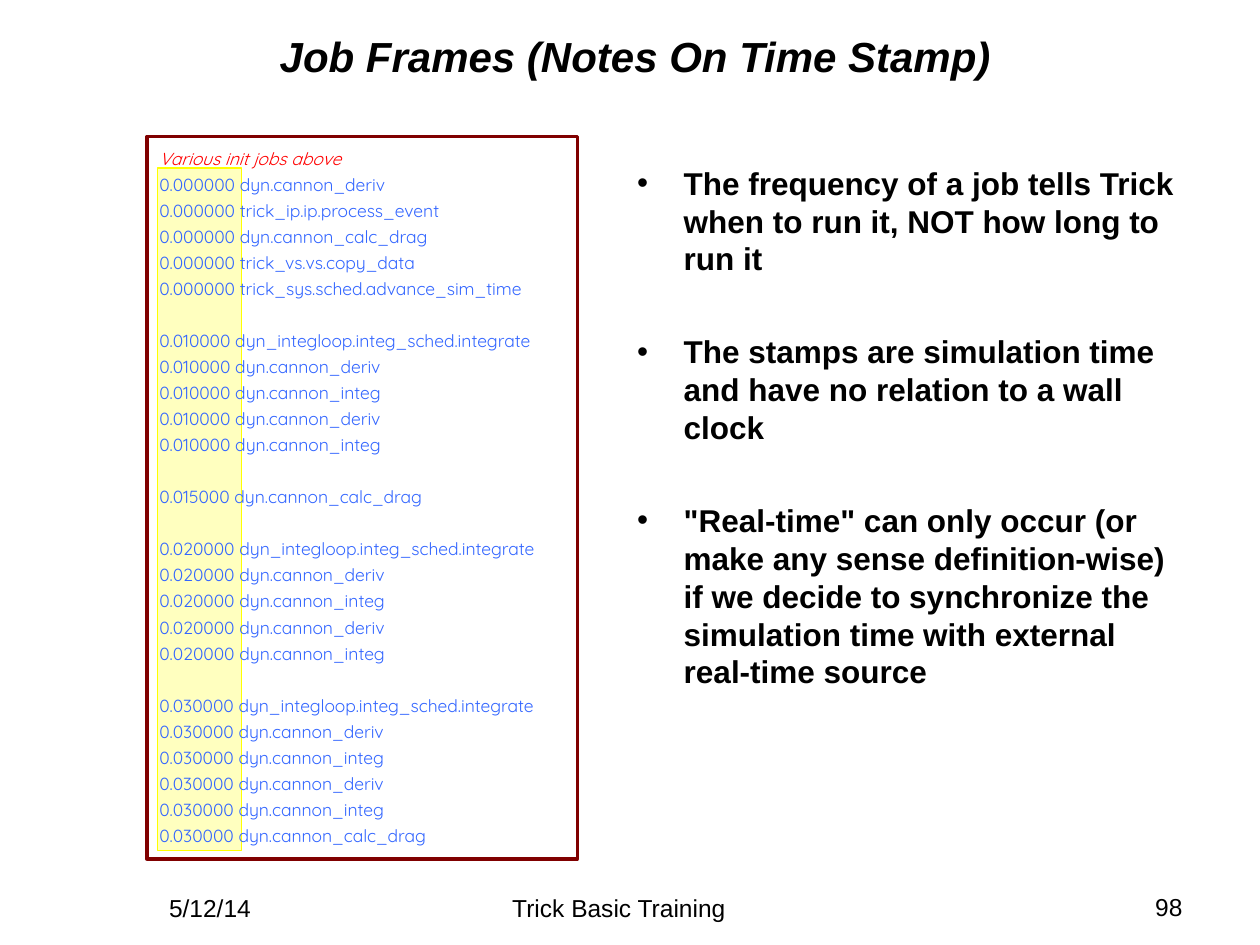
from lxml import etree
from pptx import Presentation
from pptx.dml.color import RGBColor
from pptx.enum import shapes, text
from pptx.oxml.ns import qn
from pptx import util as u

BLACK = RGBColor(0x00, 0x00, 0x00)
RED = RGBColor(0xFF, 0x00, 0x00)
BLUE = RGBColor(0x33, 0x66, 0xFF)
MAROON = RGBColor(0x80, 0x00, 0x00)
YELLOW = RGBColor(0xFF, 0xFF, 0x00)

# The grid has 120 columns and 90 rows, so one cell is 1/12 inch
COLUMNS, ROWS = 120, 90
LOG_SPACING = 1.24
LOG_GAP = 14.88
BULLET_GAP = 31.6

INTEGRATION = ["dyn_integloop.integ_sched.integrate"] + ["dyn.cannon_deriv", "dyn.cannon_integ"] * 2
JOB_FRAMES = [
    ("0.000000", ["dyn.cannon_deriv", "trick_ip.ip.process_event", "dyn.cannon_calc_drag",
                  "trick_vs.vs.copy_data", "trick_sys.sched.advance_sim_time"]),
    ("0.010000", INTEGRATION),
    ("0.015000", ["dyn.cannon_calc_drag"]),
    ("0.020000", INTEGRATION),
    ("0.030000", INTEGRATION + ["dyn.cannon_calc_drag"]),
]
NOTES = [
    "The frequency of a job tells Trick when to run it, NOT how long to run it",
    "The stamps are simulation time and have no relation to a wall clock",
    '"Real-time" can only occur (or make any sense definition-wise) if we decide to '
    "synchronize the simulation time with external real-time source",
]
FOOTERS = [
    ("5/12/14", (6, 84.5, 28, 4), text.PP_ALIGN.CENTER),
    ("98", (85.8, 84.4, 28, 4.7), text.PP_ALIGN.RIGHT),
    ("Trick Basic Training", (40, 84.5, 37.9, 4.7), text.PP_ALIGN.CENTER),
]


class SlideBuilder:
    def __init__(self, deck):
        self.deck = deck
        self.page = deck.slides.add_slide(deck.slide_layouts[5])

    def area(self, left, top, width, height):
        across, down = self.deck.slide_width / COLUMNS, self.deck.slide_height / ROWS
        return [u.Emu(round(n)) for n in (left * across, top * down, width * across, height * down)]

    def style(self, para, size, color=BLACK, font="Arial", bold=False, italic=False):
        para.font.name, para.font.size = font, u.Pt(size)
        para.font.bold, para.font.italic = bold, italic
        para.font.color.rgb = color

    def title(self, words, place):
        box = self.page.shapes.title
        box.left, box.top, box.width, box.height = self.area(*place)
        frame = box.text_frame
        frame.text = words
        frame.auto_size = text.MSO_AUTO_SIZE.NONE
        frame.vertical_anchor = text.MSO_ANCHOR.MIDDLE
        para = frame.paragraphs[0]
        para.alignment, para.line_spacing = text.PP_ALIGN.CENTER, LOG_SPACING
        self.style(para, 24, bold=True, italic=True)

    def shape(self, kind, place, line, width):
        shape = self.page.shapes.add_shape(kind, *self.area(*place))
        shape.shadow.inherit = False
        shape.line.color.rgb, shape.line.width = line, u.Pt(width)
        return shape

    def highlight(self, place):
        band = self.shape(shapes.MSO_SHAPE.ROUNDED_RECTANGLE, place, YELLOW, 1)
        band.adjustments[0] = 0
        band.fill.solid()
        band.fill.fore_color.rgb = YELLOW
        color = band.fill._xPr.find(qn("a:solidFill"))[0]
        etree.SubElement(color, qn("a:alpha"), val="25000")

    def log(self, heading, frames, place):
        panel = self.shape(shapes.MSO_SHAPE.RECTANGLE, place, MAROON, 2)
        panel.fill.background()
        frame = panel.text_frame
        frame.word_wrap, frame.vertical_anchor = True, text.MSO_ANCHOR.TOP
        lines = [(heading, RED, 0)]
        for number, (stamp, jobs) in enumerate(frames):
            for position, job in enumerate(jobs):
                gap = LOG_GAP if number and not position else 0
                lines.append((f"{stamp} {job}", BLUE, gap))
        for number, (words, color, gap) in enumerate(lines):
            para = frame.add_paragraph() if number else frame.paragraphs[0]
            para.text, para.alignment = words, text.PP_ALIGN.LEFT
            para.line_spacing, para.space_before = LOG_SPACING, u.Pt(gap)
            self.style(para, 10, color, "Quicksand", italic=color == RED)

    def text_box(self, place):
        frame = self.page.shapes.add_textbox(*self.area(*place)).text_frame
        frame.word_wrap = True
        return frame

    def bullets(self, notes, place):
        frame = self.text_box(place)
        for number, words in enumerate(notes):
            para = frame.add_paragraph() if number else frame.paragraphs[0]
            para.text = words
            para.space_before = u.Pt(BULLET_GAP if number else 0)
            props = para._p.get_or_add_pPr()
            props.set("marL", str(u.Inches(0.37)))
            props.set("indent", str(-u.Inches(0.37)))
            etree.SubElement(props, qn("a:buFont"), typeface="Arial")
            etree.SubElement(props, qn("a:buChar"), char="•")
            self.style(para, 18, bold=True)

    def footer(self, words, place, alignment):
        para = self.text_box(place).paragraphs[0]
        para.text, para.alignment = words, alignment
        self.style(para, 14)


def main():
    deck = Presentation()
    deck.slide_width, deck.slide_height = u.Inches(10), u.Inches(7.5)
    slide = SlideBuilder(deck)

    # Time stamp highlight, behind the log
    slide.highlight((15, 16, 8, 65))

    # Title and notes
    slide.title("Job Frames (Notes On Time Stamp)", (12, 1.7, 97, 6))
    slide.bullets(NOTES, (59.5, 15, 54.5, 65.4))

    # Job log
    slide.log("Various init jobs above", JOB_FRAMES, (14, 13, 41, 68.8))

    # Date, page number and course name
    for words, place, alignment in FOOTERS:
        slide.footer(words, place, alignment)

    deck.save("out.pptx")


if __name__ == "__main__":
    main()
